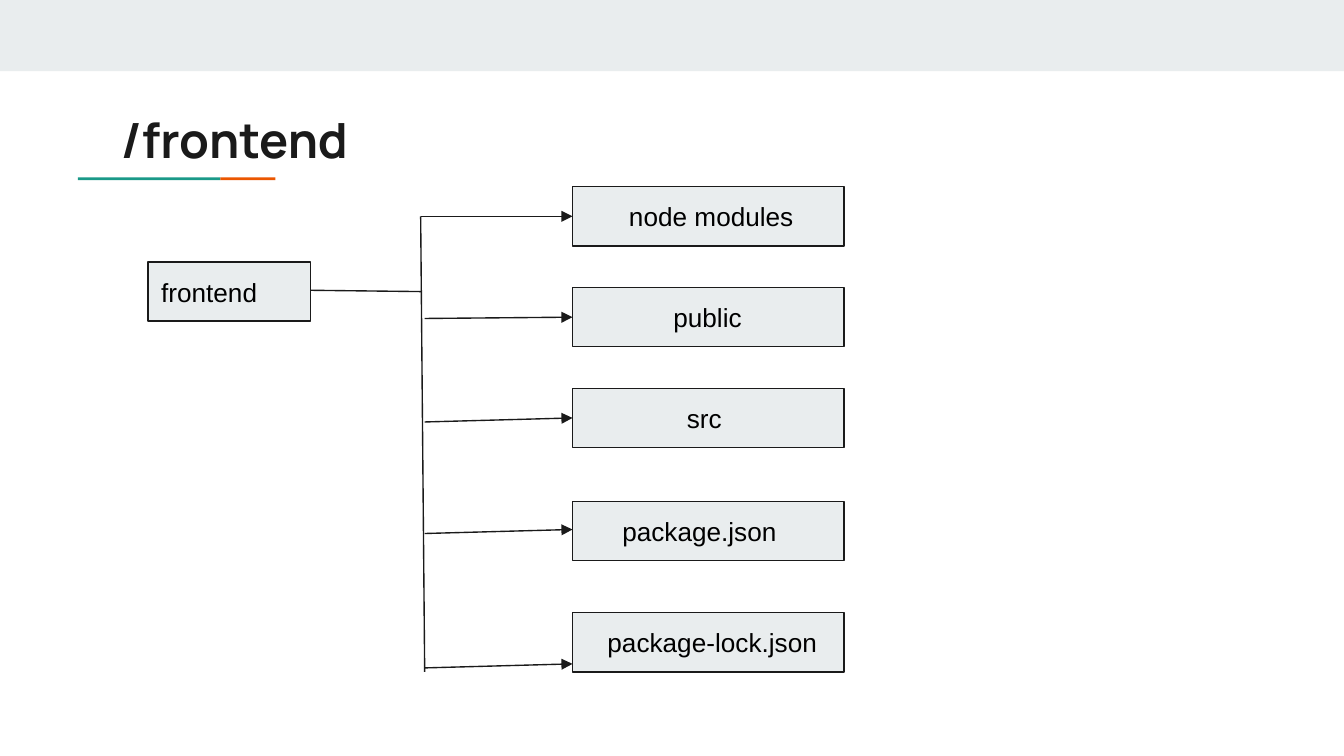
from pptx import Presentation
from pptx import util as u
from pptx.dml.color import RGBColor
from pptx.enum import shapes, text
from pptx.oxml import parse_xml
from pptx.oxml.ns import nsdecls

PALE = RGBColor(0xE9, 0xED, 0xEE)
INK = RGBColor(0x1A, 0x1A, 0x1A)
BLACK = RGBColor(0, 0, 0)
TEAL = RGBColor(0x1A, 0x99, 0x88)
ORANGE = RGBColor(0xEB, 0x56, 0x00)

WIDTH = 10
HEIGHT = WIDTH * 9 / 16
LINE_WIDTH = u.Pt(0.75)
INSET = 0.1

# Columns of the tree
ROOT_LEFT, ROOT_TOP, ROOT_WIDTH = 1.1, 1.95, 1.21
TRUNK_TOP_X, TRUNK_X = 3.13, 3.16
CHILD_LEFT, CHILD_WIDTH = 4.26, 2.02
BOX_HEIGHT = 0.44

# Child name, box top, text indent, branch start (x, y), arrow end y
CHILDREN = [
    ("node modules", 1.39, 0.32, TRUNK_TOP_X, 1.61, 1.61),
    ("public", 2.14, 0.65, TRUNK_X, 2.37, 2.36),
    ("src", 2.89, 0.75, TRUNK_X, 3.14, 3.11),
    ("package.json", 3.73, 0.27, TRUNK_X, 3.97, 3.94),
    ("package-lock.json", 4.56, 0.16, TRUNK_X, 4.97, 4.94),
]


def add_block(slide, left, top, width, height, color):
    block = slide.shapes.add_shape(
        shapes.MSO_SHAPE.RECTANGLE,
        *(u.Inches(n) for n in (left, top, width, height)))
    block.shadow.inherit = False
    block.fill.solid()
    block.fill.fore_color.rgb = color
    block.line.fill.background()
    return block


def set_text(frame, words, font, size, color, bold=False, indent=0):
    frame.text = words
    frame.word_wrap = True
    frame.margin_left = u.Inches(INSET + indent)
    frame.margin_right = frame.margin_top = frame.margin_bottom = u.Inches(INSET)
    paragraph = frame.paragraphs[0]
    paragraph.alignment = text.PP_ALIGN.LEFT
    style = paragraph.runs[0].font
    style.name, style.size, style.bold = font, u.Pt(size), bold
    style.color.rgb = color


def add_node(slide, name, left, top, width, indent=0):
    node = add_block(slide, left, top, width, BOX_HEIGHT, PALE)
    node.line.color.rgb = INK
    node.line.width = LINE_WIDTH
    node.text_frame.vertical_anchor = text.MSO_ANCHOR.MIDDLE
    set_text(node.text_frame, name, "Arial", 14, BLACK, indent=indent)


def add_branch(slide, start, end, arrow=False):
    branch = slide.shapes.add_connector(
        shapes.MSO_CONNECTOR.STRAIGHT, *(u.Inches(n) for n in start + end))
    branch.line.color.rgb = INK
    branch.line.width = LINE_WIDTH
    if arrow:
        branch.line._get_or_add_ln().append(
            parse_xml(f'<a:tailEnd {nsdecls("a")} type="triangle"/>'))
    branch._element.spPr.append(parse_xml(f'<a:effectLst {nsdecls("a")}/>'))


def add_heading(slide, words):
    title = slide.shapes.title
    title.left, title.top = u.Inches(0.8), u.Inches(0.72)
    title.width, title.height = u.Inches(8.41), u.Inches(0.74)
    title.text_frame.vertical_anchor = text.MSO_ANCHOR.TOP
    set_text(title.text_frame, words, "Manrope", 26, INK, bold=True)


def main():
    deck = Presentation()
    deck.slide_width, deck.slide_height = u.Inches(WIDTH), u.Inches(HEIGHT)
    slide = deck.slides.add_slide(deck.slide_layouts[5])

    # Top band, heading and two-colour underline
    add_block(slide, 0, 0, WIDTH, 0.53, PALE)
    add_block(slide, 0.58, 1.32, 1.06, 0.02, TEAL)
    add_block(slide, 1.64, 1.32, 0.41, 0.02, ORANGE)
    add_heading(slide, "/frontend")

    # Root folder and trunk
    add_node(slide, "frontend", ROOT_LEFT, ROOT_TOP, ROOT_WIDTH)
    add_branch(slide, (ROOT_LEFT + ROOT_WIDTH, 2.16), (3.14, 2.17))
    add_branch(slide, (TRUNK_TOP_X, 1.61), (TRUNK_X, 5))

    # Contents of the folder
    for name, top, indent, branch_x, branch_y, arrow_y in CHILDREN:
        add_node(slide, name, CHILD_LEFT, top, CHILD_WIDTH, indent)
        add_branch(slide, (branch_x, branch_y), (CHILD_LEFT, arrow_y), arrow=True)

    deck.save("out.pptx")


if __name__ == "__main__":
    main()
